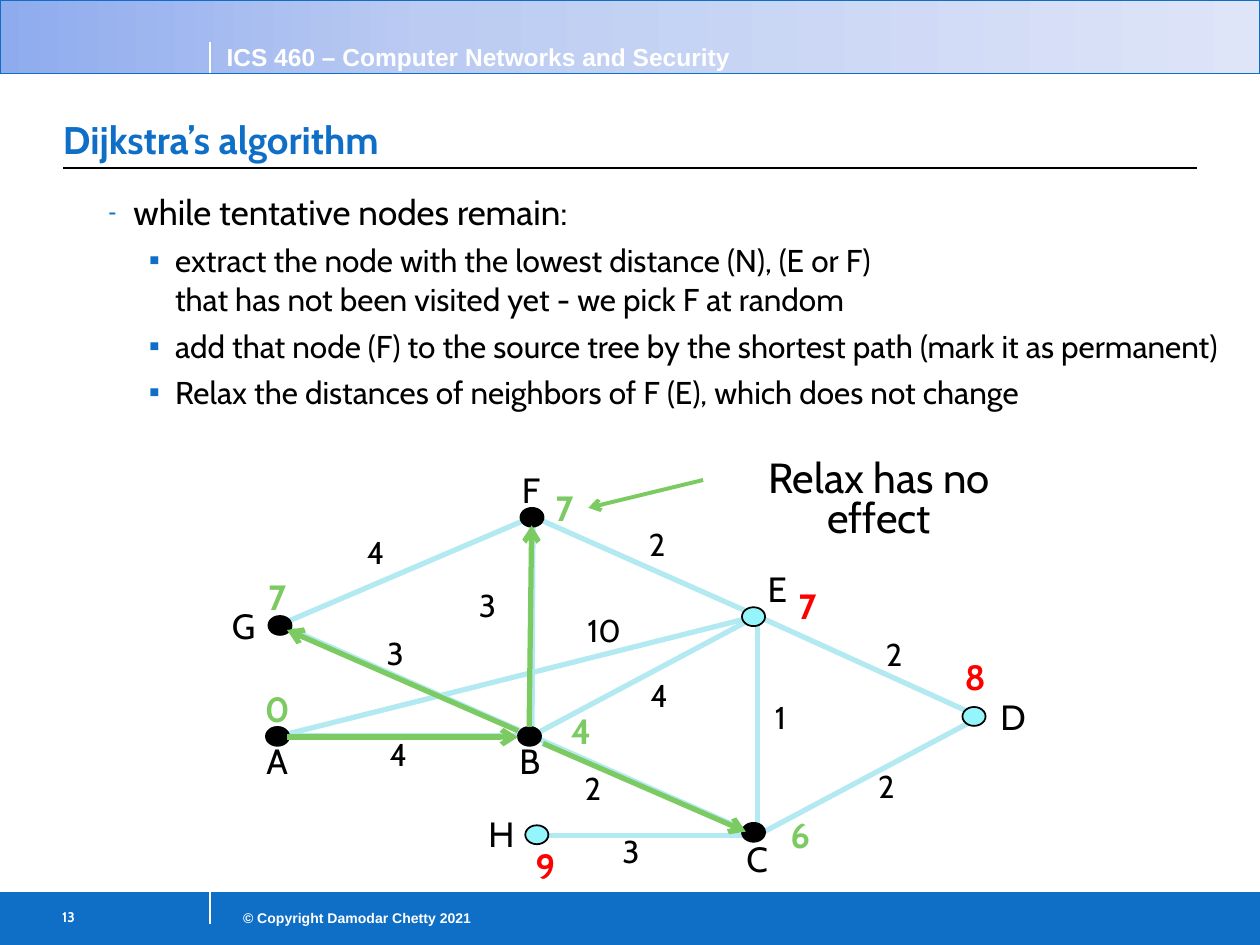
from copy import deepcopy

from pptx import Presentation
from pptx.dml.color import RGBColor
from pptx.enum.shapes import MSO_CONNECTOR, MSO_SHAPE
from pptx.enum.text import MSO_ANCHOR, PP_ALIGN
from pptx.oxml.ns import qn
from pptx.oxml.xmlchemy import OxmlElement
from pptx.util import Pt

STRAIGHT = MSO_CONNECTOR.STRAIGHT
RECTANGLE, OVAL = MSO_SHAPE.RECTANGLE, MSO_SHAPE.OVAL
TOP, MIDDLE, BOTTOM = MSO_ANCHOR.TOP, MSO_ANCHOR.MIDDLE, MSO_ANCHOR.BOTTOM
LEFT, CENTER, RIGHT = PP_ALIGN.LEFT, PP_ALIGN.CENTER, PP_ALIGN.RIGHT

BLUE = RGBColor(0x0F, 0x6F, 0xC6)
WHITE = RGBColor(0xFF, 0xFF, 0xFF)
BLACK = RGBColor(0, 0, 0)
RED = RGBColor(0xFF, 0, 0)
GREEN = RGBColor(0x7C, 0xCA, 0x62)
EDGE_BLUE = RGBColor(0xB3, 0xEA, 0xF2)
NODE_BLUE = RGBColor(0x94, 0xF5, 0xFA)
HEADER_STOPS = [(0, RGBColor(0x8E, 0xAB, 0xEE)), (0.34, RGBColor(0xBB, 0xCB, 0xF2)),
                (1, RGBColor(0xDE, 0xE5, 0xF8))]

presentation = Presentation()
presentation.slide_width, presentation.slide_height = Pt(720), Pt(540)
slide = presentation.slides.add_slide(presentation.slide_layouts[6])


def add_text(text, box, size, color=BLACK, bold=False, font="Cabin", align=LEFT,
             anchor=TOP, insets=(7.2, 3.6, 7.2, 3.6)):
    """Add a text box with one paragraph per line; insets run left, top, right, bottom."""
    frame = slide.shapes.add_textbox(*map(Pt, box)).text_frame
    left, top, right, bottom = map(Pt, insets)
    frame_format = {"word_wrap": True, "vertical_anchor": anchor, "margin_left": left,
                    "margin_top": top, "margin_right": right, "margin_bottom": bottom}
    for name, value in frame_format.items():
        setattr(frame, name, value)
    frame.text = text
    for paragraph in frame.paragraphs:
        paragraph.alignment = align
        for run in paragraph.runs:
            for name, value in {"name": font, "size": Pt(size), "bold": bold}.items():
                setattr(run.font, name, value)
            run.font.color.rgb = color
    return frame


def add_line(start, end, color, width, arrow=False):
    line = slide.shapes.add_connector(STRAIGHT, *map(Pt, (*start, *end)))
    line.line.color.rgb = color
    line.line.width = Pt(width)
    if arrow:
        tail = OxmlElement("a:tailEnd")
        tail.set("type", "arrow")
        line.line._get_or_add_ln().append(tail)
    line._element.spPr.append(OxmlElement("a:effectLst"))


# Header and footer bands
for top, height in [(510, 30), (0, 42)]:
    band = slide.shapes.add_shape(RECTANGLE, Pt(0), Pt(top), Pt(720), Pt(height))
    band.shadow.inherit = False
    band.line.color.rgb = BLUE
    band.line.width = Pt(0.75)
    if top:
        band.fill.solid()
        band.fill.fore_color.rgb = BLUE
    else:
        band.fill.gradient()
        band.fill.gradient_angle = 0
        stop_list = band._element.spPr.find(".//" + qn("a:gsLst"))
        stop_list.append(deepcopy(stop_list[0]))
        for stop, (position, color) in zip(band.fill.gradient_stops, HEADER_STOPS):
            stop.position = position
            stop.color.rgb = color

add_line((0, 42), (720, 42), BLUE, 0.5)
add_line((0, 510), (720, 510), BLUE, 0.5)
add_line((36, 96), (684, 96), BLACK, 0.75)
add_line((120, 528), (120, 510), WHITE, 0.75)
add_line((120, 42), (120, 24), WHITE, 0.75)

add_text("© Copyright Damodar Chetty 2021", (110, 516.2, 166.5, 17.5), 8, WHITE, True,
         "Arial", RIGHT)
add_text("ICS 460 – Computer Networks and Security", (122.4, 20.2, 310, 24.5), 14, WHITE,
         True, "Arial")
add_text("13", (24, 514, 96, 25), 8, WHITE, True, insets=(11.5, 5, 7.2, 3.6))
add_text("Dijkstra’s algorithm", (36, 44, 648, 52), 22, BLUE, True, anchor=BOTTOM,
         insets=(0, 3.6, 0, 3.6))

# Bulleted steps; \v breaks a line within its paragraph
steps = [
    "while tentative nodes remain:",
    "extract the node with the lowest distance (N), (E or F)\v"
    "that has not been visited yet - we pick F at random",
    "add that node (F) to the source tree by the shortest path (mark it as permanent)",
    "Relax the distances of neighbors of F (E), which does not change",
]
body = add_text("\n".join(steps), (36, 104.4, 684, 388), 18, insets=(3.6,) * 4)
for index, paragraph in enumerate(body.paragraphs):
    indent, hanging, bullet, bullet_size = (60.5, 15, "▪", 100) if index else (36.7, 14.4, "-", 70)
    paragraph.line_spacing = 1.04
    paragraph.space_before = Pt(4)
    properties = paragraph._p.get_or_add_pPr()
    properties.set("marL", str(Pt(indent)))
    properties.set("indent", str(-Pt(hanging)))
    bullet_color = OxmlElement("a:buClr")
    color_value = OxmlElement("a:srgbClr")
    color_value.set("val", str(BLUE))
    bullet_color.append(color_value)
    properties.append(bullet_color)
    for tag, name, value in [("a:buSzPct", "val", str(bullet_size * 1000)),
                             ("a:buFont", "typeface", "Arial"), ("a:buChar", "char", bullet)]:
        element = OxmlElement(tag)
        element.set(name, value)
        properties.append(element)
body.paragraphs[0].runs[0].font.size = Pt(20)

# Graph edges: start, end, weight, left and top of the weight
joints = {"A": (160, 420.5), "B": (304, 420.5), "C": (432.7, 477.4), "D": (560, 409.7),
          "E": (432.7, 352), "F": (304.6, 295.2), "G": (160, 357), "H": (304, 477.4)}
edges = [
    ("A", "B", 4, 219, 419.8), ("B", "C", 2, 330.5, 439.2), ("C", "E", 1, 439.2, 398.9),
    ("B", "E", 4, 368, 386.6), ("A", "E", 10, 332, 349.2), ("B", "F", 3, 270, 334.8),
    ("B", "G", 3, 217.4, 362.2), ("G", "F", 4, 206, 304.6), ("F", "E", 2, 367.2, 300.2),
    ("E", "D", 2, 502.6, 363), ("C", "D", 2, 498.2, 438.5), ("C", "H", 3, 352, 475.2),
]
for start, end, *_ in edges:
    add_line(joints[start], joints[end], EDGE_BLUE, 3)

# Nodes: name, dot left and top, name centre and top, distance with its centre and top
nodes = [
    ("A", 152, 415.4, 158.4, 419, 0, 158.4, 389.5),
    ("B", 296, 415.4, 302.8, 419, 4, 332, 401.8),
    ("C", 424, 470.2, 432.7, 475.2, 6, 457.2, 461.5),
    ("D", 550, 404, 579, 393.8, 8, 557.3, 370.8),
    ("E", 424, 347, 444.2, 321, 7, 461.5, 330.5),
    ("F", 297.4, 290.2, 303.5, 264.2, 7, 322.6, 274.3),
    ("G", 153.4, 352, 139.3, 342, 7, 158.4, 325.4),
    ("H", 300.2, 471.6, 286.6, 460.8, 9, 311.8, 478.8),
]
tentative = "DEH"
for name, left, top, name_x, name_y, distance, distance_x, distance_y in nodes:
    dot = slide.shapes.add_shape(OVAL, Pt(left), Pt(top), Pt(13.2), Pt(10.8))
    dot.shadow.inherit = False
    dot.fill.solid()
    dot.fill.fore_color.rgb = NODE_BLUE if name in tentative else BLACK
    dot.line.color.rgb = BLACK
    dot.line.width = Pt(1)
    add_text(name, (name_x - 21, name_y, 42, 31), 20, align=CENTER, anchor=MIDDLE)
    add_text(str(distance), (distance_x - 12, distance_y, 24, 31.7), 20,
             RED if name in tentative else GREEN, True, align=CENTER,
             insets=(0, 3.6, 0, 3.6))

for _, _, weight, left, top in edges:
    add_text(str(weight), (left, top, 40, 21.6), 18, insets=(3.6, 0, 3.6, 0))

# Shortest path tree and the remark on node F
for start, end in [((164, 421.2), (296, 421.2)), ((310.3, 424.8), (426.2, 475.2)),
                   ((296, 417.6), (164, 360)), ((302.4, 415.4), (303.8, 300.2))]:
    add_line(start, end, GREEN, 3, arrow=True)
add_line((401.8, 274.3), (336.2, 290.2), GREEN, 2.25, arrow=True)
remark = add_text("Relax has no effect", (401.8, 260, 201, 30), 24, align=CENTER)
remark.paragraphs[0].line_spacing = 0.8

presentation.save("out.pptx")
